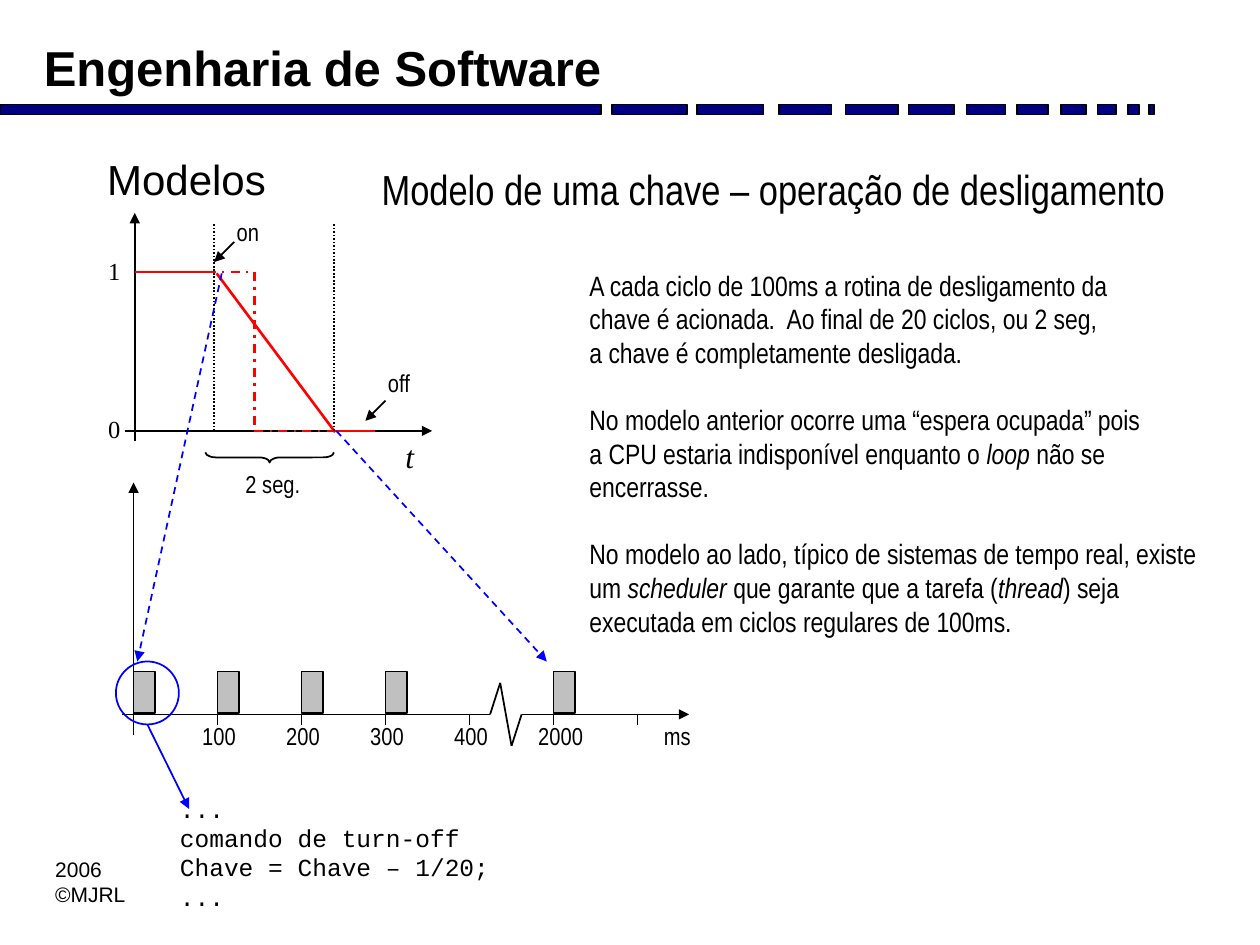
from itertools import pairwise

from pptx import Presentation
from pptx.dml.color import RGBColor
from pptx.enum.dml import MSO_LINE
from pptx.enum.shapes import MSO_CONNECTOR, MSO_SHAPE
from pptx.enum.text import MSO_ANCHOR, MSO_AUTO_SIZE, PP_ALIGN
from pptx.oxml.ns import qn
from pptx.oxml.xmlchemy import OxmlElement
from pptx.util import Inches, Pt

RECTANGLE, OVAL, BRACE = MSO_SHAPE.RECTANGLE, MSO_SHAPE.OVAL, MSO_SHAPE.LEFT_BRACE
STRAIGHT = MSO_CONNECTOR.STRAIGHT
DASH, DASH_DOT, DOT = MSO_LINE.DASH, MSO_LINE.DASH_DOT, MSO_LINE.ROUND_DOT
TOP, LEFT = MSO_ANCHOR.TOP, PP_ALIGN.LEFT
FIT, NO_FIT = MSO_AUTO_SIZE.SHAPE_TO_FIT_TEXT, MSO_AUTO_SIZE.NONE

BLACK = RGBColor(0, 0, 0)
NAVY = RGBColor(0, 0, 0x80)
RED = RGBColor(0xFF, 0, 0)
BLUE = RGBColor(0, 0, 0xFF)
SILVER = RGBColor(0xC0, 0xC0, 0xC0)

HEADING = {"name": "Arial", "size": Pt(28), "bold": True}
FOOTER = {"name": "Arial", "size": Pt(12)}
TITLE = {"name": "Arial", "size": Pt(24)}
SUBTITLE = {"name": "Arial Narrow", "size": Pt(24)}
BODY = {"name": "Arial Narrow", "size": Pt(16)}
LABEL = {"name": "Arial Narrow", "size": Pt(14)}
LEVEL = {"name": "Times New Roman", "size": Pt(14)}
VARIABLE = {"name": "Times New Roman", "size": Pt(18), "italic": True}
CODE = {"name": "Courier New", "size": Pt(14)}

BARS = [(0, 4.77), (4.86, 0.59), (5.53, 0.53), (6.18, 0.42), (6.71, 0.42), (7.21, 0.36),
        (7.67, 0.31), (8.07, 0.25), (8.42, 0.2), (8.71, 0.15), (8.95, 0.09), (9.12, 0.04)]

EXPLANATION = [
    ["A cada ciclo de 100ms a rotina de desligamento da",
     "chave é acionada.  Ao final de 20 ciclos, ou 2 seg,",
     "a chave é completamente desligada."],
    ["No modelo anterior ocorre uma “espera ocupada” pois",
     "a CPU estaria indisponível enquanto o *loop* não se",
     "encerrasse."],
    ["No modelo ao lado, típico de sistemas de tempo real, existe",
     "um *scheduler* que garante que a tarefa (*thread*) seja",
     "executada em ciclos regulares de 100ms."],
]
ROUTINE = [["...", "comando de turn-off", "Chave = Chave – 1/20;", "..."]]

TEXTS = [
    ((0.25, 0.25, 4.83, 0.56), [["Engenharia de Software"]], HEADING),
    ((0.34, 6.75, 0.76, 0.5), [["2006", "©MJRL"]], FOOTER),
    ((2.93, 1.25, 6.41, 0.5), [["Modelo de uma chave – operação de desligamento"]], SUBTITLE),
    ((3.12, 3.42, 0.27, 0.4), [["t"]], VARIABLE),
    ((0.76, 3.24, 0.3, 0.34), [["0"]], LEVEL),
    ((0.76, 1.98, 0.3, 0.34), [["1"]], LEVEL),
    ((1.78, 1.67, 0.38, 0.34), [["on"]], LABEL),
    ((2.98, 2.87, 0.38, 0.34), [["off"]], LABEL),
    ((1.85, 3.67, 0.63, 0.34), [["2 seg."]], LABEL),
    ((5.17, 5.67, 0.41, 0.34), [["ms"]], LABEL),
    ((1.33, 6.25, 2.66, 1.04), ROUTINE, CODE),
    ((4.58, 2.08, 5.07, 3.03), EXPLANATION, BODY),
]

HIGH, LOW = 2.16, 3.42
SWITCH_LINES = [
    ((1.07, 3.5), (1.07, 1.69), BLACK, 1, None, True),
    ((0.99, LOW), (3.43, LOW), BLACK, 1, None, True),
    ((1.07, HIGH), (2.02, HIGH), RED, 1.25, DASH_DOT, False),
    ((2.02, HIGH), (2.02, LOW), RED, 1.25, DASH_DOT, False),
    ((2.02, LOW), (2.96, LOW), RED, 1.25, DASH_DOT, False),
    ((1.86, 1.92), (1.7, 2.08), BLACK, 1, None, True),
    ((3.06, 3.18), (2.9, 3.34), BLACK, 1, None, True),
    ((1.7, HIGH), (1.07, HIGH), RED, 1.5, None, False),
    ((2.66, LOW), (2.98, LOW), RED, 1.5, None, False),
    ((1.72, 2.17), (2.66, 3.43), RED, 1.5, None, False),
    ((1.7, 1.78), (1.7, 3.43), BLACK, 1, DOT, False),
    ((2.65, 1.78), (2.65, 3.43), BLACK, 1, DOT, False),
]
ZOOM_LINES = [
    ((1.76, 2.17), (1.09, 5.25), BLUE, 1, DASH, True),
    ((2.67, LOW), (4.34, 5.25), BLUE, 1, DASH, True),
    ((1.17, 5.75), (1.5, 6.42), BLUE, 1, None, True),
]

ORIGIN, CYCLE, TIME_AXIS = 1.06, 2 / 3, 5.67
TICK_LABELS = {1: "100", 2: "200", 3: "300", 4: "400", 5: "2000", 6: ""}
PULSES = [0, 1, 2, 3, 5]
AXIS_BREAK = [(3.72, TIME_AXIS), (3.89, TIME_AXIS), (3.97, 5.42),
              (4.06, 5.92), (4.14, TIME_AXIS), (4.39, TIME_AXIS)]


def write(frame, groups, style, layout):
    for key, value in layout.items():
        setattr(frame, key, value)
    lines = [(line, group > 0 and row == 0)
             for group, rows in enumerate(groups) for row, line in enumerate(rows)]
    for index, (line, opens_group) in enumerate(lines):
        paragraph = frame.add_paragraph() if index else frame.paragraphs[0]
        paragraph.alignment = LEFT
        paragraph.space_before = Pt(19.2 if opens_group else 0)
        for part, words in enumerate(line.split("*")):
            run = paragraph.add_run()
            run.text = words
            for key, value in style.items():
                setattr(run.font, key, value)
            if part % 2:
                run.font.italic = True
            run.font.color.rgb = BLACK


def add_text(slide, place, groups, style):
    box = slide.shapes.add_textbox(*map(Inches, place))
    layout = {"word_wrap": True, "auto_size": FIT, "vertical_anchor": TOP, "margin_right": 0}
    write(box.text_frame, groups, style, layout)


def add_outline(slide, preset, place, fill=None, color=BLACK):
    shape = slide.shapes.add_shape(preset, *map(Inches, place))
    shape.shadow.inherit = False
    if fill is None:
        shape.fill.background()
    else:
        shape.fill.solid()
        shape.fill.fore_color.rgb = fill
    shape.line.color.rgb = color
    shape.line.width = Pt(1)
    return shape


def add_line(slide, start, end, color=BLACK, width=1, dash=None, arrow=False):
    line = slide.shapes.add_connector(STRAIGHT, *map(Inches, (*start, *end)))
    line.line.color.rgb = color
    line.line.width = Pt(width)
    if dash is not None:
        line.line.dash_style = dash
    properties = line._element.spPr
    if arrow:
        tip = OxmlElement("a:tailEnd")
        tip.set("type", "triangle")
        properties.find(qn("a:ln")).append(tip)
    properties.append(OxmlElement("a:effectLst"))


def add_timeline(slide):
    add_line(slide, (ORIGIN, 5.83), (ORIGIN, 3.83), arrow=True)
    add_line(slide, (0.97, TIME_AXIS), (1.14, TIME_AXIS))
    for cycle, label in TICK_LABELS.items():
        tick = ORIGIN + cycle * CYCLE
        if cycle != 5:
            add_line(slide, (tick - CYCLE, TIME_AXIS), (tick, TIME_AXIS))
        add_line(slide, (tick, TIME_AXIS), (tick, 5.75))
        if label:
            width = 0.19 + 0.09 * len(label)
            add_text(slide, (tick - 0.22, TIME_AXIS, width, 0.34), [[label]], LABEL)
    add_line(slide, (5.06, TIME_AXIS), (5.47, TIME_AXIS), arrow=True)
    for cycle in PULSES:
        add_outline(slide, RECTANGLE, (ORIGIN + cycle * CYCLE, 5.33, 0.17, 0.33), SILVER)
    for start, end in pairwise(AXIS_BREAK):
        add_line(slide, start, end)


def main():
    deck = Presentation()
    deck.slide_width, deck.slide_height = Inches(10), Inches(7.5)
    slide = deck.slides.add_slide(deck.slide_layouts[5])
    title = slide.shapes.title
    for key, value in zip(("left", "top", "width", "height"), (0.75, 1.17, 8.5, 0.75)):
        setattr(title, key, Inches(value))
    layout = {"word_wrap": True, "auto_size": NO_FIT, "vertical_anchor": TOP}
    write(title.text_frame, [["Modelos"]], TITLE, layout)

    for left, width in BARS:
        add_outline(slide, RECTANGLE, (left, 0.83, width, 0.08), NAVY)
    for line in SWITCH_LINES:
        add_line(slide, *line)
    brace = add_outline(slide, BRACE, (2.1, 3.12, 0.08, 1.02))
    brace.rotation = 270
    brace.adjustments[0] = 1.06
    add_timeline(slide)
    for text in TEXTS:
        add_text(slide, *text)
    add_outline(slide, OVAL, (0.92, 5.25, 0.5, 0.5), color=BLUE)
    for line in ZOOM_LINES:
        add_line(slide, *line)
    deck.save("out.pptx")


if __name__ == "__main__":
    main()
